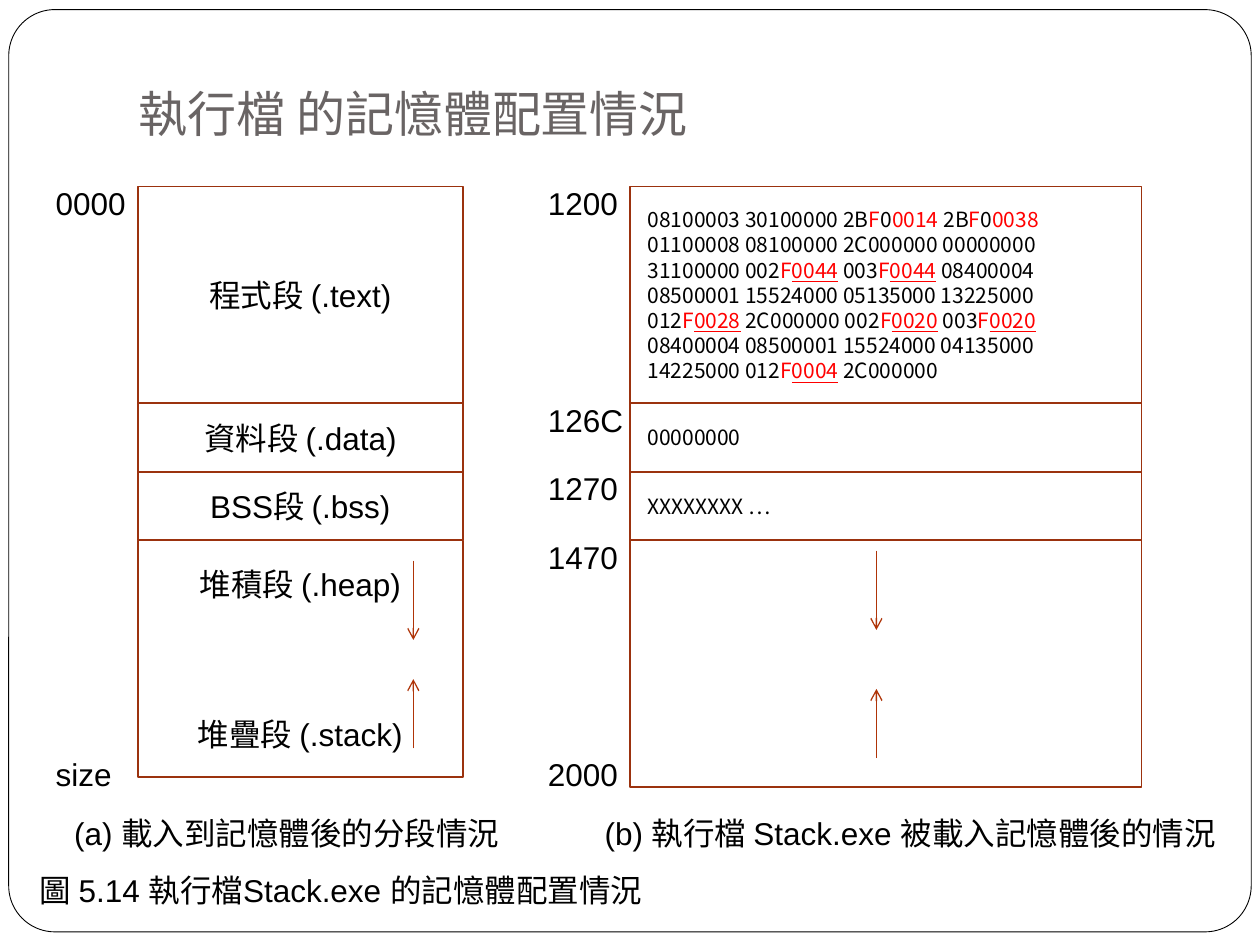
from itertools import accumulate

from lxml.etree import SubElement
from pptx import Presentation
from pptx.dml.color import RGBColor
from pptx.enum.shapes import MSO_CONNECTOR, MSO_SHAPE
from pptx.enum.text import MSO_ANCHOR, PP_ALIGN
from pptx.oxml.ns import qn
from pptx.util import Pt

COLORS = {"white": "FFFFFF", "black": "000000", "title": "696464",
          "border": "9B320E", "arrow": "AF3408", "address": "FF0000"}
CJK_FONT = "Noto Sans CJK SC"
TOP = 106.6
SEGMENT_HEIGHTS = [123.8, 39.2, 39.2]
END_LABEL_TOP = 427.7
LABEL_WIDTH = 62

# Parts between bars are red, and underlined after an underscore
CODE_LINES = [
    "08100003 30100000 2B|F|0|0014| 2B|F|0|0038|",
    "01100008 08100000 2C000000 00000000",
    "31100000 002|F_0044| 003|F_0044| 08400004",
    "08500001 15524000 05135000 13225000",
    "012|F_0028| 2C000000 002|F_0020| 003|F_0020|",
    "08400004 08500001 15524000 04135000",
    "14225000 012|F_0004| 2C000000",
]


def color(name):
    return RGBColor.from_string(COLORS[name])


def format_run(run, size=18, font="Arial", color_name="black"):
    run.font.size = Pt(size)
    run.font.name = font
    run.font.color.rgb = color(color_name)
    SubElement(run.font._element, qn("a:ea"), typeface=CJK_FONT)


def add_label(slide, left, top, width, text):
    label = slide.shapes.add_textbox(Pt(left), Pt(top), Pt(width), Pt(29))
    label.text_frame.word_wrap = False
    label.text_frame.text = text
    format_run(label.text_frame.paragraphs[0].runs[0])


def add_box(slide, left, top, width, height):
    box = slide.shapes.add_shape(
        MSO_SHAPE.RECTANGLE, Pt(left), Pt(top), Pt(width), Pt(height))
    box.shadow.inherit = False
    box.fill.background()
    box.line.color.rgb = color("border")
    box.line.width = Pt(1)
    box.text_frame.vertical_anchor = MSO_ANCHOR.MIDDLE
    return box


def add_arrow(slide, x, start, end):
    arrow = slide.shapes.add_connector(
        MSO_CONNECTOR.STRAIGHT, Pt(x), Pt(start), Pt(x), Pt(end))
    arrow.line.color.rgb = color("arrow")
    arrow.line.width = Pt(0.75)
    SubElement(arrow.line._get_or_add_ln(), qn("a:tailEnd"), type="arrow")
    SubElement(arrow._element.spPr, qn("a:effectLst"))


def write_names(box, lines):
    box.text_frame.text = "\n".join(lines)
    for index, paragraph in enumerate(box.text_frame.paragraphs):
        paragraph.alignment = PP_ALIGN.CENTER
        paragraph.space_before = Pt(64.5 if index else 0)
        for run in paragraph.runs:
            format_run(run)


def write_code(box, lines):
    frame = box.text_frame
    frame.margin_left = Pt(10)
    for index, line in enumerate(lines):
        paragraph = frame.add_paragraph() if index else frame.paragraphs[0]
        paragraph.alignment = PP_ALIGN.LEFT
        paragraph.line_spacing = Pt(14.4)
        for position, part in enumerate(line.split("|")):
            plain, _, underlined = part.partition("_")
            for text in filter(None, (plain, underlined)):
                run = paragraph.add_run()
                run.text = text
                format_run(run, 12, CJK_FONT,
                           "address" if position % 2 else "black")
                if text == underlined:
                    run.font.underline = True


def add_memory_map(slide, left, width, last_height, contents, write,
                   labels, end_label, arrow_x, arrow_gap):
    """Stack of segments with addresses at the left and growth arrows."""
    heights = SEGMENT_HEIGHTS + [last_height]
    tops = list(accumulate(heights, initial=TOP))
    for top, height, lines in zip(tops, heights, contents):
        box = add_box(slide, left, top, width, height)
        if lines:
            write(box, lines)
    for top, text in zip(tops, labels):
        add_label(slide, left - 54, top - 5, LABEL_WIDTH, text)
    add_label(slide, left - 54, END_LABEL_TOP, LABEL_WIDTH, end_label)
    # Heap grows down, stack grows up
    down_start, up_start = tops[3] + arrow_gap, tops[4] - 16.5
    add_arrow(slide, left + arrow_x, down_start, down_start + 45.4)
    add_arrow(slide, left + arrow_x, up_start, up_start - 39.6)


def add_title_and_frame(slide):
    title = slide.shapes.title
    title.left, title.top, title.width, title.height = (
        Pt(72), Pt(21.6), Pt(612), Pt(67))
    frame = title.text_frame
    frame.text = "執行檔 的記憶體配置情況"
    frame.vertical_anchor = MSO_ANCHOR.BOTTOM
    frame.margin_bottom = Pt(7.2)
    frame.paragraphs[0].alignment = PP_ALIGN.LEFT
    format_run(frame.paragraphs[0].runs[0], 28, "Karla", "title")
    # Rounded border behind everything
    border = slide.shapes.add_shape(
        MSO_SHAPE.ROUNDED_RECTANGLE, Pt(5), Pt(5.5), Pt(710), Pt(527))
    border.adjustments[0] = 0.05
    border.shadow.inherit = False
    border.fill.solid()
    border.fill.fore_color.rgb = color("white")
    border.line.color.rgb = color("black")
    border.line.width = Pt(0.5)
    title.element.addprevious(border.element)


presentation = Presentation()
presentation.slide_width, presentation.slide_height = Pt(720), Pt(540)
slide = presentation.slides.add_slide(presentation.slide_layouts[5])
add_title_and_frame(slide)

# General segments
add_memory_map(
    slide, 78.7, 185.8, 135.4,
    [["程式段 (.text)"], ["資料段 (.data)"], ["BSS段 (.bss)"],
     ["堆積段 (.heap)", "堆疊段 (.stack)"]],
    write_names, ["0000"], "size", 157.5, 11.5)

# Loaded executable
add_memory_map(
    slide, 360, 292.3, 141,
    [CODE_LINES, ["00000000"], ["XXXXXXXX …"], []],
    write_code, ["1200", "126C", "1270", "1470"], "2000", 140.8, 5.8)

# Captions
for left, top, width, text in [
        (35.3, 461.5, 266, "(a) 載入到記憶體後的分段情況"),
        (338.4, 461.5, 381, "(b) 執行檔 Stack.exe 被載入記憶體後的情況"),
        (15.8, 494, 376, "圖 5.14 執行檔Stack.exe 的記憶體配置情況")]:
    add_label(slide, left, top, width, text)

presentation.save("out.pptx")
